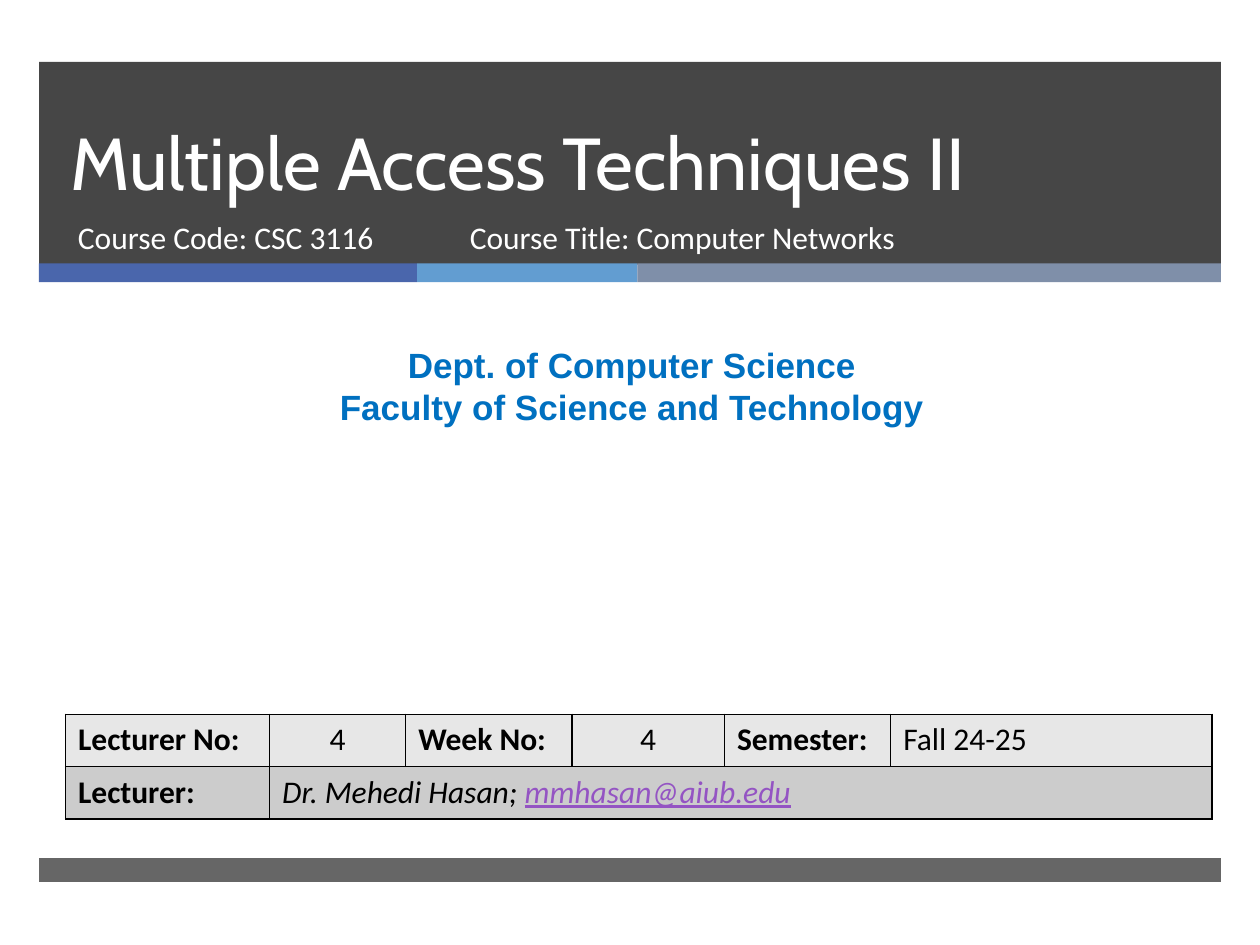
import pptx
import pptx.util
import pptx.dml.color
import pptx.enum.shapes
import pptx.enum.text
import pptx.oxml
import pptx.oxml.ns
from lxml import etree

Inches = pptx.util.Inches
Pt = pptx.util.Pt
RGB = pptx.dml.color.RGBColor
ALIGN = pptx.enum.text.PP_ALIGN
ANCHOR = pptx.enum.text.MSO_ANCHOR
qn = pptx.oxml.ns.qn

WHITE = RGB(0xFF, 0xFF, 0xFF)
BLACK = RGB(0x00, 0x00, 0x00)
DARK = RGB(0x26, 0x26, 0x26)
NAVY = RGB(0x4A, 0x66, 0xAC)
SKY = RGB(0x62, 0x9D, 0xD1)
SLATE = RGB(0x7F, 0x8F, 0xA9)
BLUE = RGB(0x00, 0x70, 0xC0)
VIOLET = RGB(0x94, 0x54, 0xC3)
LIGHT = RGB(0xE7, 0xE7, 0xE7)
GREY = RGB(0xCC, 0xCC, 0xCC)


def style(para, size, face, color, bold=False, italic=False):
    for run in para.runs:
        font = run.font
        font.size, font.name = Pt(size), face
        font.bold, font.italic = bold, italic
        font.color.rgb = color


def add_bar(slide, left, top, width, height, color, alpha=100):
    bar = slide.shapes.add_shape(
        pptx.enum.shapes.MSO_SHAPE.RECTANGLE,
        Inches(left), Inches(top), Inches(width), Inches(height))
    bar.shadow.inherit = False
    bar.fill.solid()
    bar.fill.fore_color.rgb = color
    bar.line.fill.background()
    if alpha < 100:
        tint = bar.fill._xPr.find(qn("a:solidFill"))[0]
        etree.SubElement(tint, qn("a:alpha")).set("val", str(alpha * 1000))


def add_text(slide, box, text, size, face, color, bold=False, align=ALIGN.LEFT):
    frame = slide.shapes.add_textbox(*map(Inches, box)).text_frame
    frame.word_wrap = True
    frame.text = text
    for para in frame.paragraphs:
        para.alignment = align
        style(para, size, face, color, bold)


def add_header(slide, left, top, width, height):
    add_bar(slide, left, top, width, height, DARK, 85)
    start = left
    for span, color in ((3, NAVY), (1.75, SKY), (width - 4.75, SLATE)):
        add_bar(slide, start, top + height - 0.01, span, 0.15, color)
        start += span

    title = slide.shapes.title
    slide.shapes._spTree.append(title._element)
    title.left, title.top = Inches(left + 0.15), Inches(top)
    title.width, title.height = Inches(8.54), Inches(1.19)
    frame = title.text_frame
    frame.text = "Multiple Access Techniques II"
    frame.vertical_anchor = ANCHOR.BOTTOM
    frame.auto_size = pptx.enum.text.MSO_AUTO_SIZE.NONE
    para = frame.paragraphs[0]
    para.alignment = ALIGN.LEFT
    para.line_spacing = Pt(46)
    style(para, 42, "Cabin", WHITE)

    for shift, span, text in ((0.21, 3.05, "Course Code: CSC 3116"),
                              (3.32, 4.55, "Course Title: Computer Networks")):
        add_text(slide, (left + shift, top + 1.19, span, 0.53),
                 text, 18, "Calibri", WHITE)


def set_edges(cell):
    props = cell._tc.get_or_add_tcPr()
    for spot, side in enumerate(("a:lnL", "a:lnR", "a:lnT", "a:lnB")):
        edge = etree.Element(qn(side), w=str(Pt(1)))
        fill = etree.SubElement(edge, qn("a:solidFill"))
        etree.SubElement(fill, qn("a:srgbClr")).set("val", str(BLACK))
        props.insert(spot, edge)


def add_info(slide, left, top, width, height):
    rows = (("Lecturer No:", "4", "Week No:", "4", "Semester:", "Fall 24-25"),
            ("Lecturer:", "Dr. Mehedi Hasan; "))
    table = slide.shapes.add_table(
        2, 6, Inches(left), Inches(top), Inches(width), Inches(height)).table
    for col, span in zip(table.columns, (1.62, 1.08, 1.32, 1.21, 1.32, 2.55)):
        col.width = Inches(span)
    for r, (texts, shade) in enumerate(zip(rows, (LIGHT, GREY))):
        for c in range(6):
            cell = table.cell(r, c)
            cell.fill.solid()
            cell.fill.fore_color.rgb = shade
            set_edges(cell)
            if c < len(texts):
                cell.text = texts[c]
                para = cell.text_frame.paragraphs[0]
                if texts[c] == "4":
                    para.alignment = ALIGN.CENTER
                style(para, 18, "Calibri", BLACK, bold=c % 2 == 0)
    table.cell(1, 1).merge(table.cell(1, 5))
    para = table.cell(1, 1).text_frame.paragraphs[0]
    mail = para.add_run()
    mail.text = "mmhasan@aiub.edu"
    style(para, 18, "Calibri", BLACK, italic=True)
    mail.font.color.rgb = VIOLET
    mail.font.underline = True


def main():
    deck = pptx.Presentation()
    deck.slide_width, deck.slide_height = Inches(10), Inches(7.5)
    slide = deck.slides.add_slide(deck.slide_layouts[5])
    add_header(slide, 0.31, 0.49, 9.38, 1.61)
    add_bar(slide, 0.31, 6.81, 9.38, 0.19, DARK, 70)
    add_text(slide, (0.08, 2.68, 9.87, 0.77),
             "Dept. of Computer Science\nFaculty of Science and Technology",
             20, "Arial", BLUE, True, ALIGN.CENTER)
    add_info(slide, 0.52, 5.67, 9.1, 0.83)
    deck.save("out.pptx")


if __name__ == "__main__":
    main()
